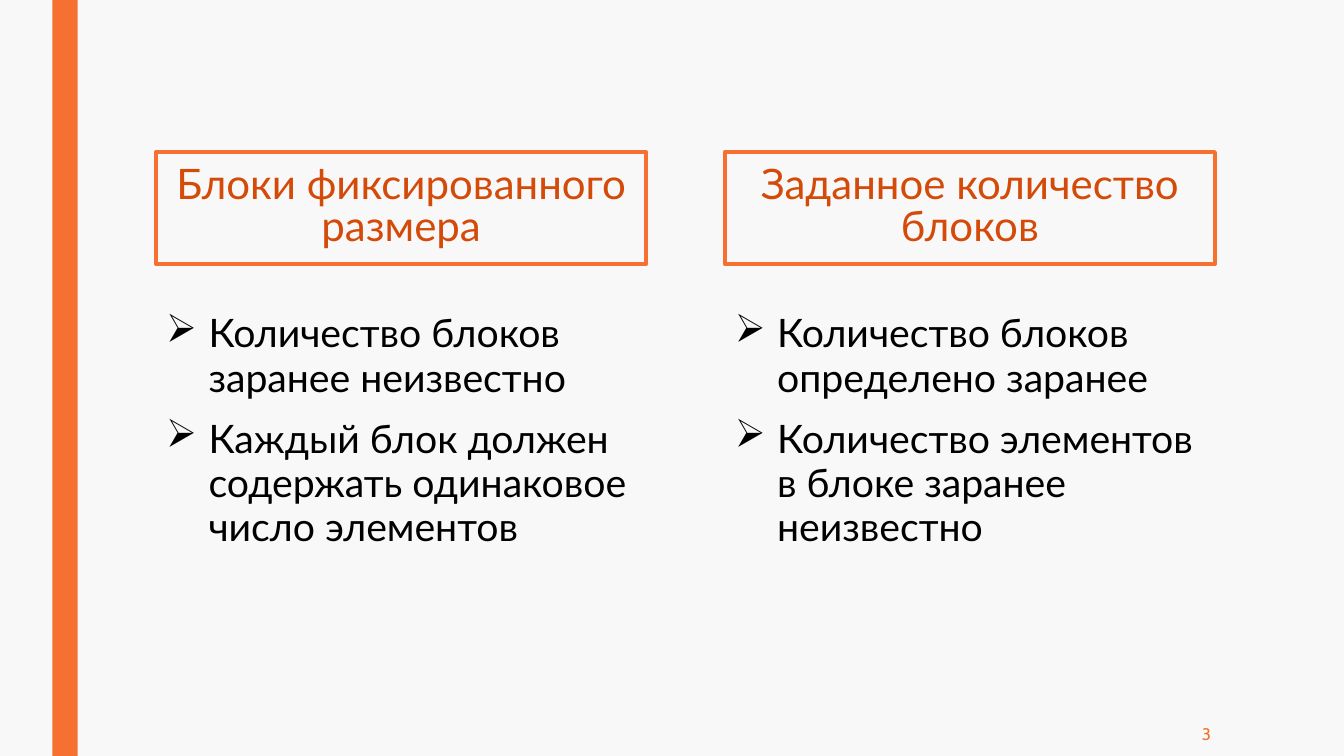
from lxml.etree import SubElement
from pptx import Presentation
from pptx.dml.color import RGBColor
from pptx.enum.shapes import MSO_SHAPE
from pptx.enum.text import MSO_ANCHOR, PP_ALIGN
from pptx.oxml.ns import qn
from pptx.util import Inches, Pt

BACKGROUND = RGBColor(0xF8, 0xF8, 0xF8)
ORANGE = RGBColor(0xF6, 0x70, 0x31)
DARK_ORANGE = RGBColor(0xD4, 0x4A, 0x09)
BLACK = RGBColor(0x00, 0x00, 0x00)

HEADING_FONT = {"name": "Lato", "size": Pt(30)}
BULLET_FONT = {"name": "Lato", "size": Pt(28)}
NUMBER_FONT = {"name": "Cabin", "size": Pt(12)}
HEADING_FORMAT = {"alignment": PP_ALIGN.CENTER, "line_spacing": 0.84}
BULLET_FORMAT = {
    "alignment": PP_ALIGN.LEFT,
    "line_spacing": 0.94,
    "space_before": Pt(10),
    "space_after": Pt(2),
}
NUMBER_FORMAT = {"alignment": PP_ALIGN.RIGHT}

COLUMN_LEFT, COLUMN_TOP = 1.55, 1.51
COLUMN_WIDTH, COLUMN_HEIGHT, COLUMN_GAP = 4.86, 4.17, 0.78
HEADING_HEIGHT, BULLETS_HEIGHT = 1.11, 2.8
BULLET_INDENT = Inches(0.42)

COLUMNS = [
    (
        "Блоки фиксированного размера",
        [
            "Количество блоков заранее неизвестно",
            "Каждый блок должен содержать одинаковое число элементов",
        ],
    ),
    (
        "Заданное количество блоков",
        [
            "Количество блоков определено заранее",
            "Количество элементов в блоке заранее неизвестно",
        ],
    ),
]


def set_attributes(target, values):
    """Set every attribute named in a dict of format values."""
    for name, value in values.items():
        setattr(target, name, value)


def write_paragraphs(shape, texts, font, color, paragraph_format):
    """Write formatted paragraphs, centred vertically in the shape."""
    frame = shape.text_frame
    set_attributes(frame, {"word_wrap": True, "vertical_anchor": MSO_ANCHOR.MIDDLE})
    frame.text = "\n".join(texts)
    for paragraph in frame.paragraphs:
        set_attributes(paragraph, paragraph_format)
        run_font = paragraph.runs[0].font
        set_attributes(run_font, font)
        run_font.color.rgb = color
    return frame.paragraphs


def add_bullet(paragraph):
    """Give a paragraph an arrowhead bullet with a hanging indent."""
    properties = paragraph._p.get_or_add_pPr()
    properties.set("marL", str(BULLET_INDENT))
    properties.set("indent", str(-BULLET_INDENT))
    SubElement(properties, qn("a:buChar"), char="➢")


def add_stripe(slide, left, top, width, height):
    """Draw the vertical accent stripe."""
    stripe = slide.shapes.add_shape(
        MSO_SHAPE.RECTANGLE, Inches(left), Inches(top), Inches(width), Inches(height)
    )
    stripe.shadow.inherit = False
    stripe.fill.solid()
    stripe.fill.fore_color.rgb = ORANGE
    stripe.line.fill.background()


def add_column(slide, left, top, width, height, heading, bullets):
    """Place a framed heading at the top of a box and bullets at its bottom."""
    frame = slide.shapes.add_shape(
        MSO_SHAPE.RECTANGLE,
        Inches(left), Inches(top), Inches(width), Inches(HEADING_HEIGHT),
    )
    frame.shadow.inherit = False
    frame.fill.background()
    frame.line.color.rgb = ORANGE
    frame.line.width = Pt(3)
    write_paragraphs(frame, [heading], HEADING_FONT, DARK_ORANGE, HEADING_FORMAT)

    body = slide.shapes.add_textbox(
        Inches(left), Inches(top + height - BULLETS_HEIGHT),
        Inches(width), Inches(BULLETS_HEIGHT),
    )
    for paragraph in write_paragraphs(body, bullets, BULLET_FONT, BLACK, BULLET_FORMAT):
        add_bullet(paragraph)


def add_slide_number(slide, left, top, width, height, number):
    """Write the slide number at the right of its box."""
    box = slide.shapes.add_textbox(
        Inches(left), Inches(top), Inches(width), Inches(height)
    )
    write_paragraphs(box, [number], NUMBER_FONT, ORANGE, NUMBER_FORMAT)


def build_comparison_slide(presentation):
    """Build the slide that compares the two ways of splitting into blocks."""
    slide = presentation.slides.add_slide(presentation.slide_layouts[6])
    slide.background.fill.solid()
    slide.background.fill.fore_color.rgb = BACKGROUND
    add_stripe(slide, 0.52, 0, 0.25, 7.5)
    for index, (heading, bullets) in enumerate(COLUMNS):
        left = COLUMN_LEFT + index * (COLUMN_WIDTH + COLUMN_GAP)
        add_column(
            slide, left, COLUMN_TOP, COLUMN_WIDTH, COLUMN_HEIGHT, heading, bullets
        )
    add_slide_number(slide, 10.36, 7.06, 1.75, 0.44, "3")


presentation = Presentation()
presentation.slide_width = Inches(13.33)
presentation.slide_height = Inches(7.5)
build_comparison_slide(presentation)
presentation.save("out.pptx")
